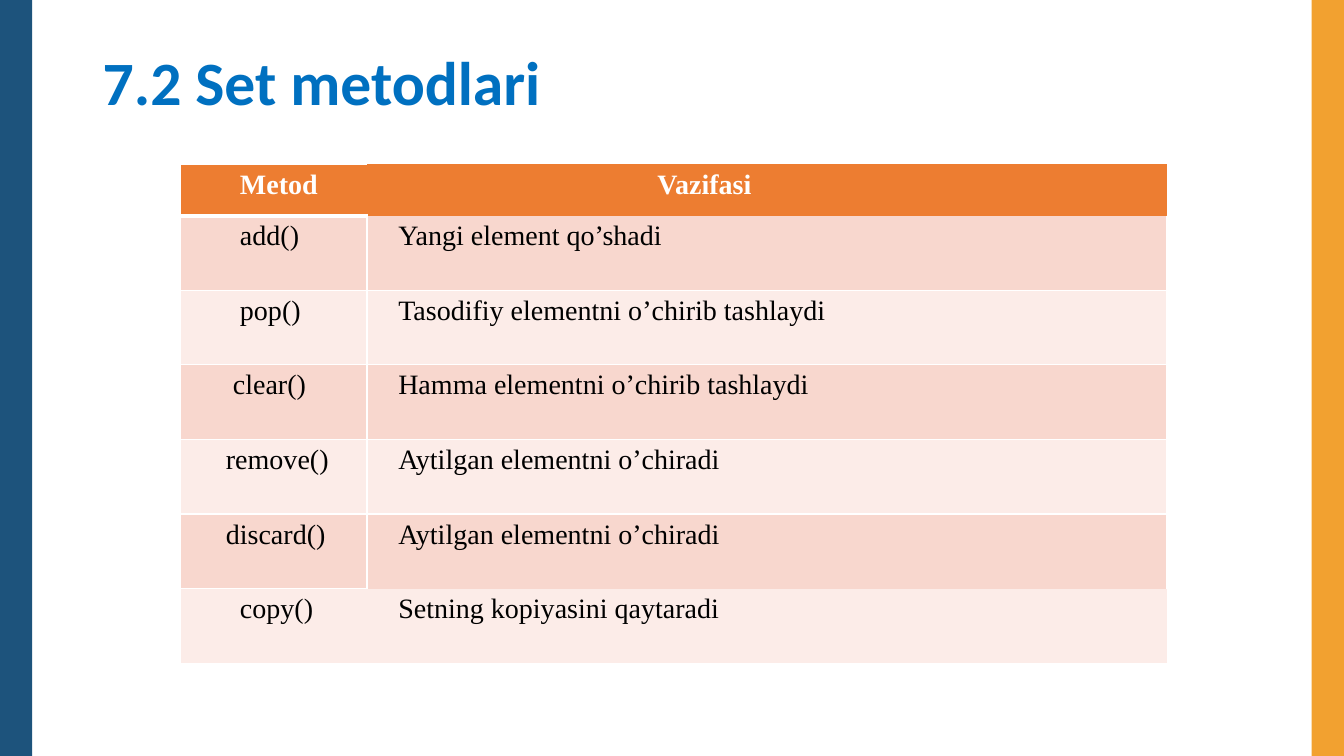
from lxml import etree
from pptx import Presentation
from pptx.dml.color import RGBColor
from pptx.enum.shapes import MSO_SHAPE
from pptx.enum.text import MSO_ANCHOR
from pptx.oxml.ns import qn
from pptx.util import Inches, Pt

RECTANGLE = MSO_SHAPE.RECTANGLE
MIDDLE = MSO_ANCHOR.MIDDLE
COLORS = {
    "title": "0070C0",
    "left_bar": "1D537C",
    "right_bar": "F2A130",
    "header": "ED7D31",
    "odd_row": "F8D7CE",
    "even_row": "FCECE8",
    "white": "FFFFFF",
    "black": "000000",
}
SIDES = "LRTB"
HEADINGS = [("Metod", 0.59), ("Vazifasi", 2.88)]
METHODS = [
    ("add()", 0.59, "Yangi element qo’shadi"),
    ("pop()", 0.59, "Tasodifiy elementni o’chirib tashlaydi"),
    ("clear()", 0.52, "Hamma elementni o’chirib tashlaydi"),
    ("remove()", 0.45, "Aytilgan elementni o’chiradi"),
    ("discard()", 0.45, "Aytilgan elementni o’chiradi"),
    ("copy()", 0.59, "Setning kopiyasini qaytaradi"),
]
DESCRIPTION_INDENT = 0.31
LAST_ROW = len(METHODS)
BORDERS = {
    (0, 0): "LTB",
    (0, 1): "",
    (1, 1): "LRB",
    (LAST_ROW - 1, 1): "LRT",
    (LAST_ROW, 0): "LTB",
    (LAST_ROW, 1): "",
}


def color(name):
    return RGBColor.from_string(COLORS[name])


def add_run(paragraph, text, font_name, size, color_name, bold):
    run = paragraph.add_run()
    run.text = text
    run.font.name = font_name
    run.font.size = Pt(size)
    run.font.bold = bold
    run.font.color.rgb = color(color_name)


def add_title(slide, text):
    box = slide.shapes.add_textbox(Inches(0.92), Inches(0.12), Inches(11.5), Inches(1.45))
    frame = box.text_frame
    frame.word_wrap = True
    frame.vertical_anchor = MIDDLE
    paragraph = frame.paragraphs[0]
    paragraph.line_spacing = 0.9
    add_run(paragraph, text, "Calibri", 44, "title", True)


def add_bar(slide, left, color_name):
    shape = slide.shapes.add_shape(RECTANGLE, Inches(left), 0, Inches(0.32), Inches(7.5))
    shape.shadow.inherit = False
    shape.fill.solid()
    shape.fill.fore_color.rgb = color(color_name)
    shape.line.fill.background()


def set_borders(cell, visible, bottom_width):
    properties = cell._tc.get_or_add_tcPr()
    for index, side in enumerate(SIDES):
        width = bottom_width if side == "B" else 1
        line = etree.Element(qn(f"a:ln{side}"), w=str(Pt(width)))
        if side in visible:
            fill = etree.SubElement(line, qn("a:solidFill"))
            etree.SubElement(fill, qn("a:srgbClr"), val=COLORS["white"])
        else:
            etree.SubElement(line, qn("a:noFill"))
        properties.insert(index, line)


def fill_cell(table, row, column, text, indent):
    cell = table.cell(row, column)
    is_header = row == 0
    cell.margin_left = Inches(indent)
    cell.fill.solid()
    row_color = "odd_row" if row % 2 else "even_row"
    cell.fill.fore_color.rgb = color("header" if is_header else row_color)
    text_color = "white" if is_header else "black"
    add_run(cell.text_frame.paragraphs[0], text, "Times New Roman", 20, text_color, is_header)
    set_borders(cell, BORDERS.get((row, column), SIDES), 3 if is_header else 1)


def add_method_table(slide):
    frame = slide.shapes.add_table(
        LAST_ROW + 1, 2, Inches(1.79), Inches(1.63), Inches(9.78), Inches(4.95))
    table = frame.table
    table.horz_banding = False
    for column, width in zip(table.columns, (1.85, 7.93)):
        column.width = Inches(width)
    for index, row in enumerate(table.rows):
        row.height = Inches(0.74 if index else 0.51)
    for column, (heading, indent) in enumerate(HEADINGS):
        fill_cell(table, 0, column, heading, indent)
    for row, (method, indent, description) in enumerate(METHODS, start=1):
        fill_cell(table, row, 0, method, indent)
        fill_cell(table, row, 1, description, DESCRIPTION_INDENT)


def main():
    presentation = Presentation()
    presentation.slide_width = Inches(13.33)
    presentation.slide_height = Inches(7.5)
    slide = presentation.slides.add_slide(presentation.slide_layouts[6])
    add_title(slide, "7.2 Set metodlari")
    add_bar(slide, 0, "left_bar")
    add_bar(slide, 13.01, "right_bar")
    add_method_table(slide)
    presentation.save("out.pptx")


if __name__ == "__main__":
    main()
